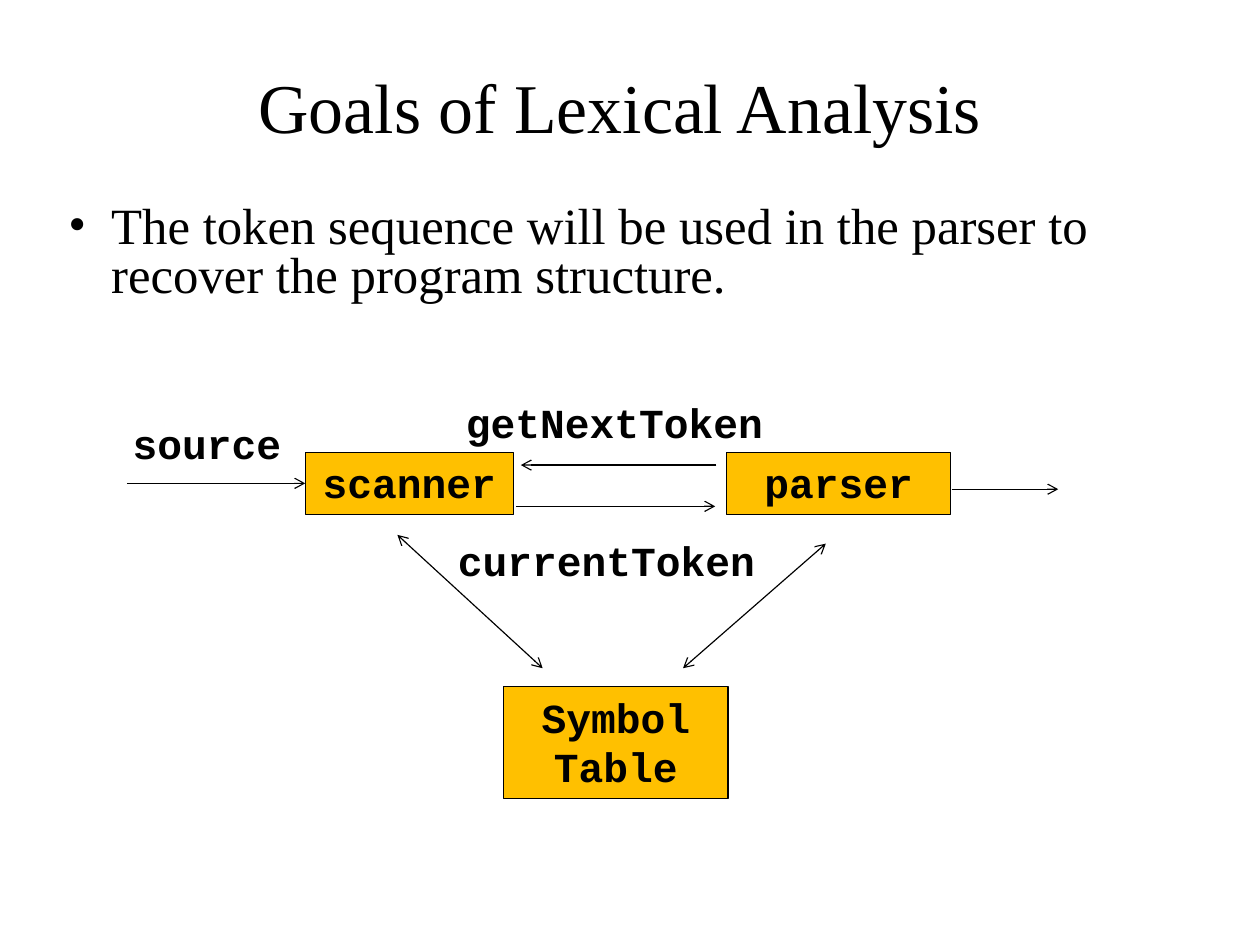
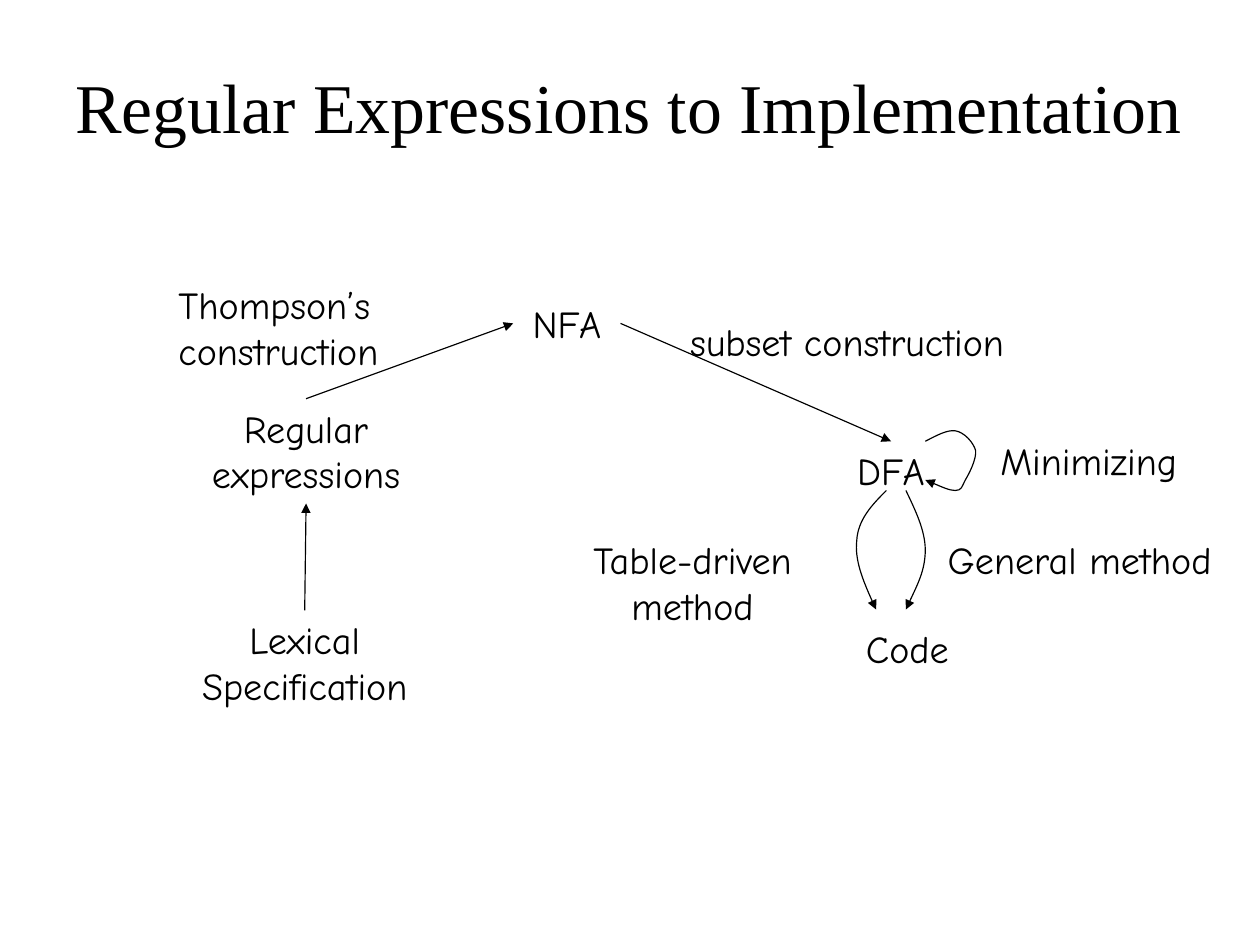
from lxml import etree
from pptx import Presentation
from pptx.dml.color import RGBColor
from pptx.enum.shapes import MSO_CONNECTOR, MSO_SHAPE
from pptx.enum.text import MSO_ANCHOR, PP_ALIGN
from pptx.oxml.ns import qn
from pptx.util import Pt

BLACK, AMBER = "000000", "FFC000"
SERIF, MONO, COMIC = "Times New Roman", "Courier New", "Comic Neue"
LINE_WIDTH = 0.75
TOP, LEFT, BOTTOM, RIGHT = range(4)


def color(hex_string):
    return RGBColor.from_string(hex_string)


def write(sp, text, font, size, bold=False, align=PP_ALIGN.LEFT, wrap=True,
          spacing=None, margins=(7.2, 3.6), anchor=MSO_ANCHOR.TOP):
    tf = sp.text_frame
    tf.text = text
    tf.word_wrap = wrap
    tf.vertical_anchor = anchor
    tf.margin_left = tf.margin_right = Pt(margins[0])
    tf.margin_top = tf.margin_bottom = Pt(margins[1])
    for p in tf.paragraphs:
        p.alignment = align
        if spacing:
            p.line_spacing = Pt(spacing)
        for r in p.runs:
            r.font.name = font
            r.font.size = Pt(size)
            r.font.bold = bold
            r.font.color.rgb = color(BLACK)


def text_box(slide, box, text, font, size, **style):
    sp = slide.shapes.add_textbox(*map(Pt, box))
    write(sp, text, font, size, **style)
    return sp


def title(slide, text, left, width):
    text_box(slide, (left, 21.6, width, 90), text, SERIF, 44,
             align=PP_ALIGN.CENTER, anchor=MSO_ANCHOR.MIDDLE)


def bullet(slide, text):
    sp = text_box(slide, (36, 126, 715, 356), text, SERIF, 32, spacing=31)
    pPr = sp.text_frame.paragraphs[0]._p.get_or_add_pPr()
    pPr.set("marL", str(Pt(27)))
    pPr.set("indent", str(-Pt(27)))
    etree.SubElement(pPr, qn("a:buFont")).set("typeface", SERIF)
    etree.SubElement(pPr, qn("a:buChar")).set("char", "•")


def code_label(slide, box, text):
    text_box(slide, box, text, MONO, 26, bold=True, spacing=31)


def code_box(slide, box, text):
    sp = slide.shapes.add_shape(MSO_SHAPE.RECTANGLE, *map(Pt, box))
    sp.shadow.inherit = False
    sp.fill.solid()
    sp.fill.fore_color.rgb = color(AMBER)
    outline(sp)
    write(sp, text, MONO, 26, bold=True, align=PP_ALIGN.CENTER, spacing=31)
    return sp


def step(slide, box, text, align=PP_ALIGN.CENTER, wrap=False):
    return text_box(slide, box, text, COMIC, 24, align=align, wrap=wrap,
                    margins=(8, 4))


def outline(sp, head=None, tail=None):
    """Black thin line, with arrowheads at its start (head) and end (tail)."""
    sp.line.color.rgb = color(BLACK)
    sp.line.width = Pt(LINE_WIDTH)
    ln = sp._element.spPr.find(qn("a:ln"))
    for tag, kind in (("a:headEnd", head), ("a:tailEnd", tail)):
        if kind:
            etree.SubElement(ln, qn(tag)).set("type", kind)


def arrow(slide, start, end, head=None, tail="arrow"):
    """Each end is a point (x, y) or a pair (shape, side)."""
    ends = (start, end)
    points = [(0, 0) if hasattr(e[0], "shape_id") else e for e in ends]
    cxn = slide.shapes.add_connector(
        MSO_CONNECTOR.STRAIGHT, *(Pt(v) for point in points for v in point))
    for e, connect in zip(ends, (cxn.begin_connect, cxn.end_connect)):
        if hasattr(e[0], "shape_id"):
            connect(*e)
    outline(cxn, head, tail)
    etree.SubElement(cxn._element.spPr, qn("a:effectLst"))


def curved_arrow(slide, points):
    """Points: a start, then two controls and an end for each cubic curve."""
    start, *rest = [tuple(map(Pt, xy)) for xy in points]
    fb = slide.shapes.build_freeform(*start)
    fb.add_line_segments(rest, close=False)
    sp = fb.convert_to_shape()
    segments = list(sp._element.iter(qn("a:lnTo")))
    for i in range(0, len(segments), 3):
        curve = etree.Element(qn("a:cubicBezTo"))
        segments[i].addprevious(curve)
        for segment in segments[i:i + 3]:
            curve.append(segment[0])
            segment.getparent().remove(segment)
    sp.shadow.inherit = False
    sp.fill.background()
    outline(sp, tail="triangle")


def goals_slide(slide):
    title(slide, "Goals of Lexical Analysis", 67, 648)
    bullet(slide, "The token sequence will be used in the parser to "
                  "recover the program structure.")

    row_top, row_height = 285, 39
    scanner = code_box(slide, (192.4, row_top, 131.4, row_height), "scanner")
    code_box(slide, (458, row_top, 141.4, row_height), "parser")
    code_box(slide, (317.5, 432.5, 141.4, 70.5), "Symbol Table")

    code_label(slide, (286.5, 247, 223, 39), "getNextToken")
    code_label(slide, (281.5, 334, 217, 39), "currentToken")
    code_label(slide, (76.5, 260, 112, 39), "source")

    arrow(slide, (80, row_top + row_height / 2), (scanner, LEFT))
    arrow(slide, (599.8, 308.2), (667, 308.2))
    arrow(slide, (451.5, 293), (328.3, 293))
    arrow(slide, (325.5, 319), (450.8, 319))
    arrow(slide, (250.5, 337), (342, 421), head="arrow")
    arrow(slide, (430.5, 421), (520.5, 342.5), head="arrow")


def implementation_slide(slide):
    title(slide, "Regular Expressions to Implementation", 36, 721)

    one_line, two_lines = 37.5, 66
    regular = step(slide, (118.4, 251.2, 149, two_lines), "Regular\nexpressions")
    nfa = step(slide, (323.5, 185, 67.6, one_line), "NFA")
    dfa = step(slide, (528.5, 278, 66.2, one_line), "DFA")
    lexical = step(slide, (108.8, 384.5, 166.5, two_lines), "Lexical\nSpecification")
    step(slide, (536.4, 390.2, 71, one_line), "Code")

    step(slide, (104.5, 173.6, 157.5, two_lines), "Thompson’s\nconstruction",
         align=PP_ALIGN.LEFT)
    step(slide, (427, 196.7, 240, one_line), "subset construction",
         align=PP_ALIGN.LEFT)
    step(slide, (327, 334, 219, two_lines), "Table-driven method", wrap=True)
    step(slide, (583.2, 334.2, 194.5, one_line), "General method")
    step(slide, (615.2, 271.6, 142, one_line), "Minimizing")

    for start, end in (((lexical, TOP), (regular, BOTTOM)),
                       ((regular, TOP), (nfa, LEFT)),
                       ((nfa, RIGHT), (dfa, TOP))):
        arrow(slide, start, end, tail="triangle")

    to_code_by_table = [(558.7, 309), (549.4, 318.2), (540.7, 327.6), (540, 340.5),
                        (538.6, 352.8), (545, 368.6), (552.2, 384)]
    to_code_by_general = [(571, 309), (576.7, 321), (583.2, 334), (583.2, 346.5),
                          (583.2, 359.3), (576.7, 371.5), (571, 384)]
    minimizing_loop = [(583.2, 278), (590.4, 274.3), (596.9, 270.7), (602, 271.4),
                       (607.7, 272.2), (613.4, 278.6), (614.9, 283.7),
                       (615.6, 289.4), (610.6, 298.8), (608.4, 302.4),
                       (606.2, 306.7), (606.2, 309), (602, 309),
                       (598.3, 309), (586.8, 303.8), (583.2, 302.4)]
    for points in (to_code_by_table, to_code_by_general, minimizing_loop):
        curved_arrow(slide, points)


def main():
    prs = Presentation()
    prs.slide_width, prs.slide_height = Pt(794.16), Pt(594.72)
    blank = prs.slide_layouts[6]
    for build in (goals_slide, implementation_slide):
        build(prs.slides.add_slide(blank))
    prs.save("out.pptx")


if __name__ == "__main__":
    main()
